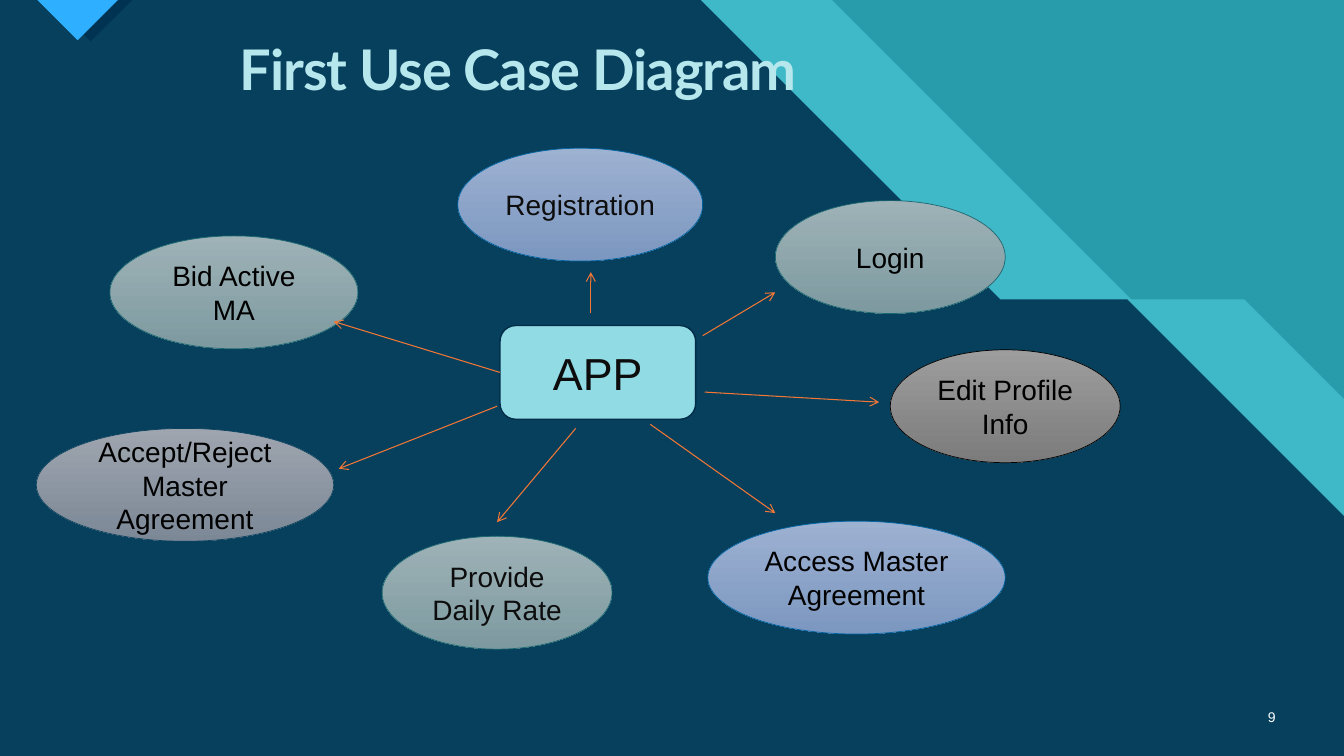
from pptx import Presentation
from pptx.dml.color import RGBColor
from pptx.enum.shapes import MSO_CONNECTOR as CONN, MSO_SHAPE as SHAPE
from pptx.enum.text import MSO_ANCHOR as ANCHOR, MSO_AUTO_SIZE as AUTO, PP_ALIGN as ALIGN
from pptx.oxml.ns import qn
from pptx.util import Inches, Pt
from lxml.etree import SubElement

SAGE = ("9EB2B7", "7D9AA0", "1A6871")
BLUE = ("9DB1D1", "7C97C0", "0065A4")
SLATE = ("9EA5AF", "7C8896", "0C4360")
GREY = ("9D9D9D", "7C7C7C", "000000")
BLACK, INK = "000000", "0D0D0D"

USE_CASES = [
    ("Bid Active MA", 1.09, 2.34, 2.46, SAGE, BLACK),
    ("Login", 7.69, 1.99, 2.28, SAGE, BLACK),
    ("Registration", 4.54, 1.47, 2.43, BLUE, INK),
    ("Access Master Agreement", 7.02, 5.17, 2.95, BLUE, BLACK),
    ("Provide Daily Rate", 3.79, 5.32, 2.28, SAGE, INK),
    ("Accept/Reject Master Agreement", 0.36, 4.25, 2.95, SLATE, BLACK),
    ("Edit Profile Info", 8.83, 3.47, 2.28, GREY, BLACK),
]
ARROWS = [
    ((5.86, 3.11), (5.86, 2.7)),
    ((4.93, 4.03), (3.36, 4.65)),
    ((6.45, 4.21), (7.69, 5.09)),
    ((5.71, 4.25), (4.93, 5.18)),
    ((6.97, 3.33), (7.69, 2.9)),
    ((6.99, 3.89), (8.72, 3.99)),
]


def rgb(color):
    return RGBColor.from_string(color)


class Deck:
    """Draws styled elements on the current slide."""

    font = "Arial"
    arrow_color = "F47735"

    def __init__(self, prs):
        self.s = prs.slides.add_slide(prs.slide_layouts[6])

    def background(self, color):
        fill = self.s.background.fill
        fill.solid()
        fill.fore_color.rgb = rgb(color)

    def polygon(self, points, color, alpha=100):
        start, *rest = [(Inches(x), Inches(y)) for x, y in points]
        builder = self.s.shapes.build_freeform(*start)
        builder.add_line_segments(rest)
        sp = builder.convert_to_shape()
        sp.shadow.inherit = False
        sp.fill.solid()
        sp.fill.fore_color.rgb = rgb(color)
        sp.line.fill.background()
        if alpha < 100:
            clr = sp._element.spPr.find(qn("a:solidFill"))[0]
            SubElement(clr, qn("a:alpha"), val=str(alpha * 1000))

    def label(self, tf, text, size, color, align, font=None):
        tf.word_wrap = True
        p = tf.paragraphs[0]
        p.alignment = align
        p.font.size = Pt(size)
        p.font.name = font or self.font
        p.font.color.rgb = rgb(color)
        r = p.add_run()
        r.text = text
        return p

    def text(self, box, text, size, color, align=ALIGN.LEFT, font=None):
        tf = self.s.shapes.add_textbox(*map(Inches, box)).text_frame
        return tf, self.label(tf, text, size, color, align, font)

    def shape(self, kind, box, text, size, color, line, width):
        sp = self.s.shapes.add_shape(kind, *map(Inches, box))
        sp.shadow.inherit = False
        sp.line.color.rgb = rgb(line)
        sp.line.width = Pt(width)
        sp.text_frame.vertical_anchor = ANCHOR.MIDDLE
        self.label(sp.text_frame, text, size, color, ALIGN.CENTER)
        return sp

    def box(self, box, text, fill, line):
        sp = self.shape(SHAPE.ROUNDED_RECTANGLE, box, text, 32, INK, line, 1)
        sp.fill.solid()
        sp.fill.fore_color.rgb = rgb(fill)
        return sp

    def use_case(self, text, x, y, w, palette, color):
        top, bottom, line = palette
        sp = self.shape(SHAPE.OVAL, (x, y, w, 1.12), text, 20, color, line, 0.5)
        sp.fill.gradient()
        sp.fill.gradient_angle = 270
        for stop, stop_color in zip(sp.fill.gradient_stops, (top, bottom)):
            stop.color.rgb = rgb(stop_color)

    def arrow(self, start, end):
        c = self.s.shapes.add_connector(CONN.STRAIGHT, *map(Inches, start + end))
        c.line.color.rgb = rgb(self.arrow_color)
        c.line.width = Pt(0.75)
        spPr = c._element.spPr
        SubElement(spPr.find(qn("a:ln")), qn("a:tailEnd"), type="arrow")
        SubElement(spPr, qn("a:effectLst"))
        return c


def main():
    prs = Presentation()
    prs.slide_width, prs.slide_height = Inches(13.33), Inches(7.5)
    deck = Deck(prs)

    deck.background("299CAB")
    deck.polygon([(0, 0), (8.25, 0), (11.22, 2.97), (12.34, 2.97),
                  (13.33, 3.96), (13.33, 7.5), (0, 7.5)], "47C3D3", 74)
    deck.polygon([(0, 0), (6.95, 0), (9.92, 2.97), (11.18, 2.97),
                  (13.33, 5.12), (13.33, 7.5), (0, 7.5)], "003352", 90)
    deck.polygon([(0.48, 0), (1.31, 0), (0.9, 0.41)], "003352")
    deck.polygon([(0.37, 0), (1.17, 0), (0.77, 0.4)], "2FAFFF")

    tf, p = deck.text((2.28, 0.37, 10.47, 0.71), "First Use Case Diagram",
                      40, "B5E7ED", font="Lato")
    tf.auto_size = AUTO.SHAPE_TO_FIT_TEXT
    p.line_spacing = 0.9
    p.font.bold = True
    p.runs[0]._r.get_or_add_rPr().set("spc", "-70")
    tf, _ = deck.text((12.31, 6.91, 0.44, 0.4), "9", 10, "FFFFFF", ALIGN.RIGHT)
    tf.vertical_anchor = ANCHOR.MIDDLE

    app = deck.box((4.96, 3.23, 1.94, 0.93), "APP", "91DBE5", "002C48")
    for case in USE_CASES:
        deck.use_case(*case)
    deck.arrow((4.96, 3.7), (3.31, 3.19)).begin_connect(app, 1)
    for start, end in ARROWS:
        deck.arrow(start, end)

    prs.save("out.pptx")


if __name__ == "__main__":
    main()
